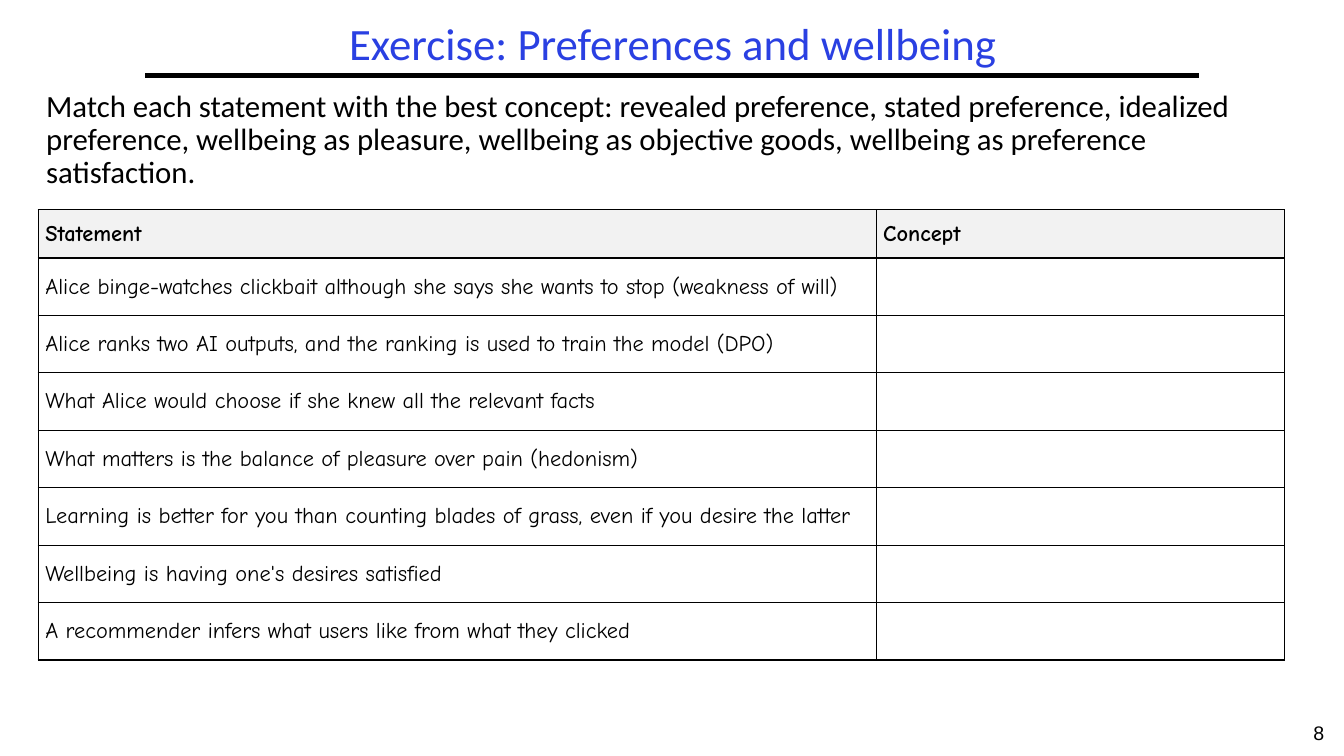
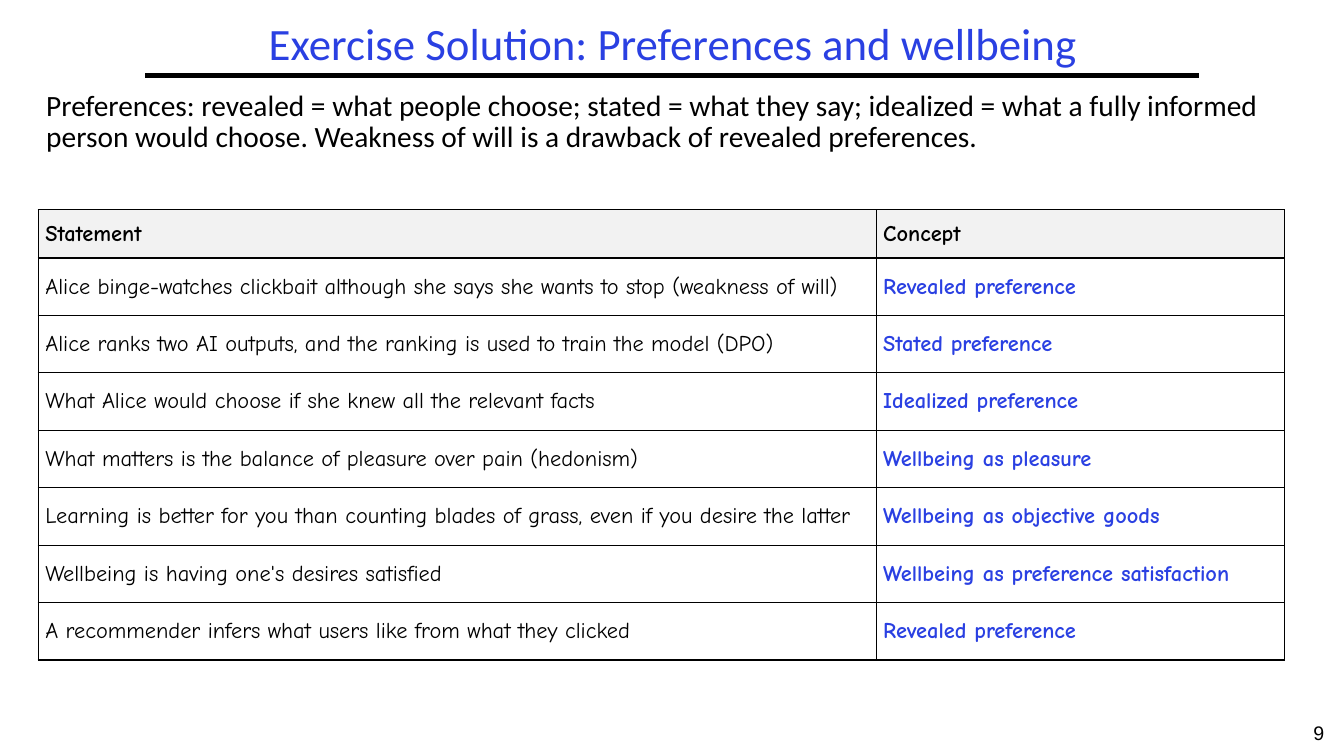
from lxml.etree import SubElement
from pptx import Presentation
from pptx.dml.color import RGBColor
from pptx.enum.shapes import MSO_CONNECTOR
from pptx.enum.text import MSO_ANCHOR, MSO_AUTO_SIZE, PP_ALIGN
from pptx.oxml import parse_xml
from pptx.oxml.ns import nsdecls, qn
from pptx.util import Inches, Pt

BLACK, BLUE, GREY = "000000", "2A40E2", "F2F2F2"
FIRST = 8  # number of the first page
WIDTHS = (8.31, 4.05)
HEAD, ROW = 0.48, 0.57

ITEMS = [
    ("Alice binge-watches clickbait although she says she wants to stop (weakness of will)",
     "Revealed preference"),
    ("Alice ranks two AI outputs, and the ranking is used to train the model (DPO)",
     "Stated preference"),
    ("What Alice would choose if she knew all the relevant facts",
     "Idealized preference"),
    ("What matters is the balance of pleasure over pain (hedonism)",
     "Wellbeing as pleasure"),
    ("Learning is better for you than counting blades of grass, even if you desire the latter",
     "Wellbeing as objective goods"),
    ("Wellbeing is having one's desires satisfied",
     "Wellbeing as preference satisfaction"),
    ("A recommender infers what users like from what they clicked",
     "Revealed preference"),
]

# title, lead text, lead size, whether the answers show
PAGES = [
    ("Exercise: Preferences and wellbeing",
     "Match each statement with the best concept: revealed preference, stated preference, "
     "idealized preference, wellbeing as pleasure, wellbeing as objective goods, "
     "wellbeing as preference satisfaction.", 22, False),
    ("Exercise Solution: Preferences and wellbeing",
     "Preferences: revealed = what people choose; stated = what they say; "
     "idealized = what a fully informed person would choose. "
     "Weakness of will is a drawback of revealed preferences.", 21, True),
]


def write(frame, text, size, face, color=BLACK, bold=False, align=PP_ALIGN.LEFT, gap=1.0):
    """Fill a text frame with one formatted paragraph."""
    frame.text = text
    para = frame.paragraphs[0]
    para.alignment = align
    para.line_spacing = gap
    font = para.runs[0].font
    font.size, font.name, font.bold = Pt(size), face, bold
    font.color.rgb = RGBColor.from_string(color)


def style(cell, fill=None):
    """Set a cell's margins, black borders and fill."""
    cell.vertical_anchor = MSO_ANCHOR.MIDDLE
    cell.margin_left = cell.margin_right = Inches(0.07)
    cell.margin_top = cell.margin_bottom = Inches(0.03)
    props = cell._tc.get_or_add_tcPr()
    for side in "LRTB":
        props.append(parse_xml(
            f'<a:ln{side} {nsdecls("a")} w="{Pt(1)}"><a:solidFill>'
            f'<a:srgbClr val="{BLACK}"/></a:solidFill></a:ln{side}>'))
    if fill:
        cell.fill.solid()
        cell.fill.fore_color.rgb = RGBColor.from_string(fill)
    else:
        cell.fill.background()


prs = Presentation()
prs.slide_width, prs.slide_height = Inches(13.33), Inches(7.5)

for page, (name, lead, size, solved) in enumerate(PAGES, FIRST):
    slide = prs.slides.add_slide(prs.slide_layouts[5])
    shapes = slide.shapes

    title = shapes.title
    title.left, title.top = Inches(1.44), Inches(0.17)
    title.width, title.height = Inches(10.47), Inches(0.58)
    write(title.text_frame, name, 32, "Calibri", BLUE, align=PP_ALIGN.CENTER, gap=0.9)
    title.text_frame.auto_size = MSO_AUTO_SIZE.NONE
    title.text_frame.vertical_anchor = MSO_ANCHOR.MIDDLE

    rule = shapes.add_connector(MSO_CONNECTOR.STRAIGHT, Inches(1.44), Inches(0.75),
                                Inches(11.89), Inches(0.75))
    rule.line.width = Pt(3)
    rule.line.color.rgb = RGBColor.from_string(BLACK)
    SubElement(rule._element.spPr, qn("a:effectLst"))

    body = shapes.add_textbox(Inches(0.36), Inches(0.85), Inches(12.58), Inches(1.22))
    body.text_frame.word_wrap = True
    write(body.text_frame, lead, size, "Calibri", gap=0.9)

    foot = shapes.add_textbox(Inches(12.83), Inches(7.1), Inches(0.5), Inches(0.4))
    foot.text_frame.word_wrap = True
    write(foot.text_frame, str(page), 14, "Arial", align=PP_ALIGN.CENTER)

    table = shapes.add_table(len(ITEMS) + 1, 2, Inches(0.38), Inches(2.08),
                             Inches(sum(WIDTHS)), Inches(HEAD + ROW * len(ITEMS))).table
    table.first_row = table.horz_banding = False
    for col, width in zip(table.columns, WIDTHS):
        col.width = Inches(width)
    for r, texts in enumerate([("Statement", "Concept")] + ITEMS):
        table.rows[r].height = Inches(ROW if r else HEAD)
        for c, text in enumerate(texts):
            cell = table.cell(r, c)
            style(cell, None if r else GREY)
            answer = r > 0 and c == 1
            if solved or not answer:
                write(cell.text_frame, text, 16, "Comic Neue",
                      BLUE if answer else BLACK, bold=answer or r == 0)

prs.save("out.pptx")
